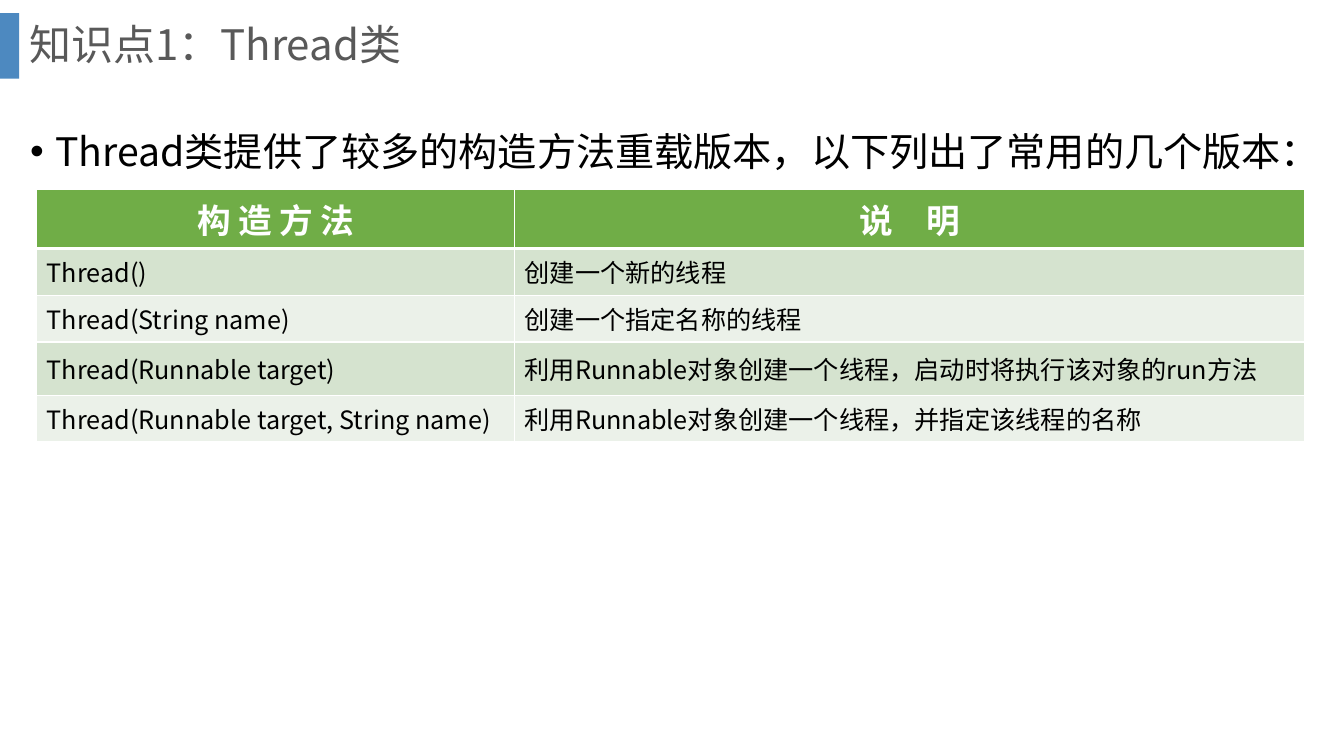
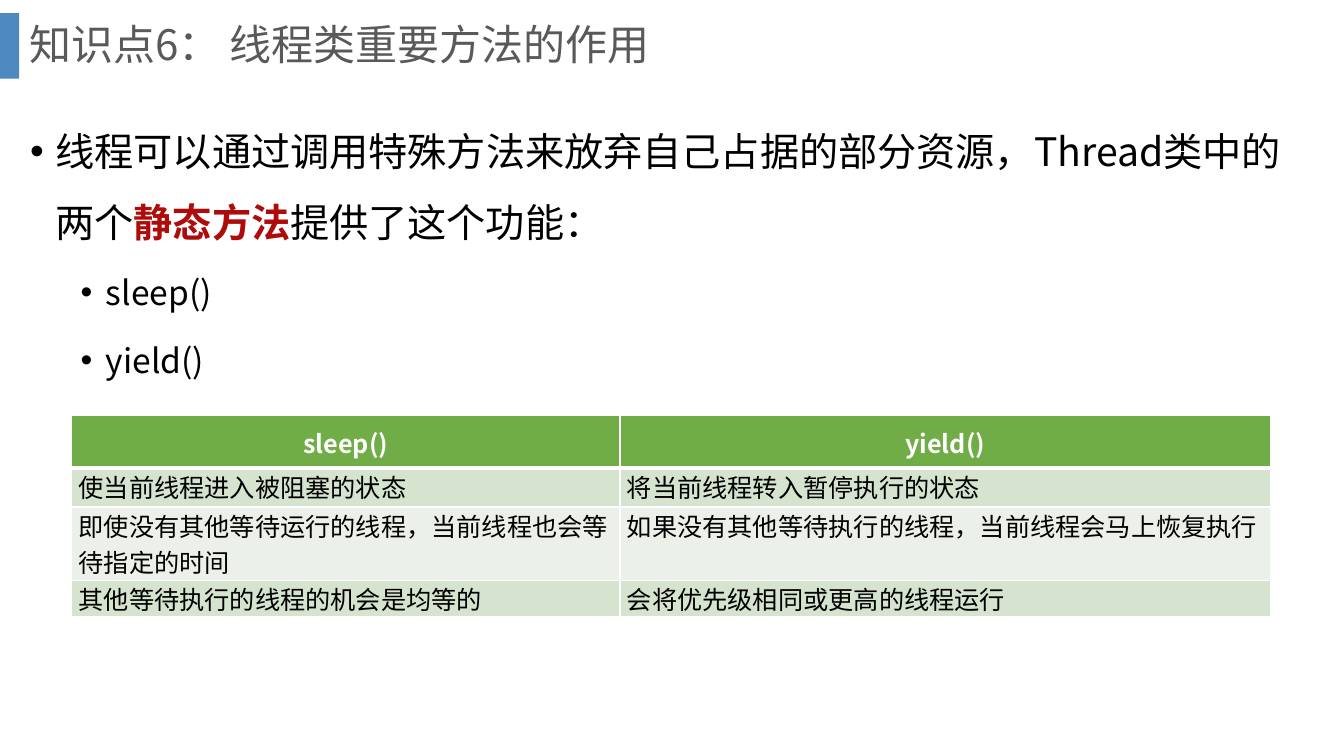
"""Build two lesson slides on the Thread class and its static methods."""
import dataclasses
import typing

import lxml.etree
import pptx
import pptx.dml.color
import pptx.enum.shapes
import pptx.enum.text
import pptx.oxml.ns
import pptx.util

WIDTH = pptx.util.Inches(13.333)
HEIGHT = pptx.util.Inches(7.5)
FONT = "Noto Sans CJK SC"
BAND_BLUE = "2E75B6"
TITLE_GREY = "595959"
BLACK = "000000"
WHITE = "FFFFFF"
ACCENT_RED = "AE0B0B"
HEADER_GREEN = "70AD47"
STRIPES = ("D5E3CF", "EBF1E9")
THIN, THICK = 1, 3
MIDDLE = pptx.enum.text.MSO_ANCHOR.MIDDLE
TOP = pptx.enum.text.MSO_ANCHOR.TOP


@dataclasses.dataclass(frozen=True)
class Area:
    """A rectangle in percent of the slide's width and height."""
    left: float
    top: float
    width: float
    height: float


@dataclasses.dataclass(frozen=True)
class Phrase:
    """A stretch of text with one look."""
    text: str
    color: str = BLACK
    bold: bool = False


@dataclasses.dataclass(frozen=True)
class Point:
    """A bulleted paragraph."""
    phrases: tuple[Phrase, ...]
    level: int = 0


@dataclasses.dataclass(frozen=True)
class Comparison:
    """A table, with columns and rows in percent of the slide."""
    left: float
    top: float
    columns: tuple[float, ...]
    rows: tuple[float, ...]
    cells: tuple[tuple[str, ...], ...]
    header_size: int
    body_anchor: typing.Any
    margins: tuple[float, float]


@dataclasses.dataclass(frozen=True)
class Lesson:
    """The content of one slide."""
    title: str
    points: tuple[Point, ...]
    comparison: Comparison


BAND = Area(0, 1.73, 1.43, 8.67)
TITLE = Area(1.43, 0, 94.95, 12.4)
BODY = Area(1.5, 13.07, 96.75, 79.47)
POINT_SIZES = (28, 24)
POINT_INDENTS = (0.25, 0.75)
POINT_GAP = 5
CELL_SIZE = 18

LESSONS = (
    Lesson(
        "知识点1：Thread类",
        (Point((Phrase("Thread类提供了较多的构造方法重载版本，以下列出了常用的几个版本："),)),),
        Comparison(
            2.74, 25.1, (35.55, 58.8), (7.6, 6.13, 6.2, 7.07, 6.13),
            (
                ("构 造 方 法", "说　明"),
                ("Thread()", "创建一个新的线程"),
                ("Thread(String name)", "创建一个指定名称的线程"),
                ("Thread(Runnable target)",
                 "利用Runnable对象创建一个线程，启动时将执行该对象的run方法"),
                ("Thread(Runnable target, String name)",
                 "利用Runnable对象创建一个线程，并指定该线程的名称"),
            ),
            24, MIDDLE, (0.1, 0.05),
        ),
    ),
    Lesson(
        "知识点6： 线程类重要方法的作用",
        (
            Point((
                Phrase("线程可以通过调用特殊方法来放弃自己占据的部分资源，Thread类中的两个"),
                Phrase("静态方法", ACCENT_RED, True),
                Phrase("提供了这个功能："),
            )),
            Point((Phrase("sleep()"),), 1),
            Point((Phrase("yield()"),), 1),
        ),
        Comparison(
            5.33, 55, (40.8, 48.38), (6.93, 5.13, 9.73, 4.8),
            (
                ("sleep()", "yield()"),
                ("使当前线程进入被阻塞的状态", "将当前线程转入暂停执行的状态"),
                ("即使没有其他等待运行的线程，当前线程也会等待指定的时间",
                 "如果没有其他等待执行的线程，当前线程会马上恢复执行"),
                ("其他等待执行的线程的机会是均等的", "会将优先级相同或更高的线程运行"),
            ),
            18, TOP, (0.07, 0),
        ),
    ),
)


def across(percent: float) -> int:
    """Turn a share of the slide's width into a length."""
    return round(WIDTH * percent / 100)


def down(percent: float) -> int:
    """Turn a share of the slide's height into a length."""
    return round(HEIGHT * percent / 100)


def rgb(code: str) -> pptx.dml.color.RGBColor:
    """Turn a hex string into a colour."""
    return pptx.dml.color.RGBColor.from_string(code)


def apply(target: typing.Any, values: dict[str, typing.Any]) -> None:
    """Set each named attribute on the target."""
    for name, value in values.items():
        setattr(target, name, value)


def bounds(area: Area) -> dict[str, int]:
    """Give the position and size of an area as format values."""
    return {"left": across(area.left), "top": down(area.top),
            "width": across(area.width), "height": down(area.height)}


def child(parent: typing.Any, tag: str, **attributes: str) -> typing.Any:
    """Append a drawing element."""
    return lxml.etree.SubElement(parent, pptx.oxml.ns.qn(tag), attributes)


def write(paragraph: typing.Any, phrase: Phrase, size: int) -> None:
    """Add a phrase to a paragraph in the deck's font."""
    run = paragraph.add_run()
    run.text = phrase.text
    apply(run.font, {"name": FONT, "size": pptx.util.Pt(size), "bold": phrase.bold})
    run.font.color.rgb = rgb(phrase.color)
    properties = run.font._element
    properties.set("lang", "zh-CN")
    child(properties, "a:ea", typeface=FONT)


def prepare_layout(layout: typing.Any) -> None:
    """Place the shared title and body areas."""
    for placeholder, area in zip(layout.placeholders, (TITLE, BODY)):
        apply(placeholder, bounds(area))


def add_band(slide: typing.Any) -> None:
    """Draw the side band and move it behind everything in the layout."""
    band = slide.shapes.add_shape(
        pptx.enum.shapes.MSO_SHAPE.RECTANGLE, *bounds(BAND).values())
    band.shadow.inherit = False
    band.fill.solid()
    band.fill.fore_color.rgb = rgb(BAND_BLUE)
    band.line.fill.background()
    tint = band.element.spPr.find(".//" + pptx.oxml.ns.qn("a:srgbClr"))
    child(tint, "a:alpha", val="85000")
    band.element.nvSpPr.cNvPr.set("id", "20")
    slide.slide_layout.shapes.element.insert(2, band.element)


def fill_title(slide: typing.Any, title: str) -> None:
    """Write the slide's title."""
    frame = slide.shapes.title.text_frame
    apply(frame, {"vertical_anchor": MIDDLE, "word_wrap": True,
                  "auto_size": pptx.enum.text.MSO_AUTO_SIZE.NONE})
    heading = frame.paragraphs[0]
    apply(heading, {"alignment": pptx.enum.text.PP_ALIGN.LEFT, "line_spacing": 0.9})
    write(heading, Phrase(title, TITLE_GREY), 30)


def fill_body(slide: typing.Any, points: tuple[Point, ...]) -> None:
    """Write the bulleted points."""
    frame = slide.placeholders[1].text_frame
    apply(frame, {"vertical_anchor": TOP, "word_wrap": True,
                  "auto_size": pptx.enum.text.MSO_AUTO_SIZE.NONE})
    for number, point in enumerate(points):
        paragraph = frame.add_paragraph() if number else frame.paragraphs[0]
        apply(paragraph, {"level": point.level, "line_spacing": 1.5,
                          "space_before": pptx.util.Pt(POINT_GAP if number else 0)})
        properties = paragraph._p.get_or_add_pPr()
        properties.set("marL", str(pptx.util.Inches(POINT_INDENTS[point.level])))
        properties.set("indent", str(-pptx.util.Inches(POINT_INDENTS[0])))
        child(properties, "a:buFont", typeface="Arial")
        child(properties, "a:buChar", char="•")
        for phrase in point.phrases:
            write(paragraph, phrase, POINT_SIZES[point.level])


def add_borders(cell: typing.Any, top: int, bottom: int) -> None:
    """Draw white lines around a cell."""
    properties = cell._tc.get_or_add_tcPr()
    sides = {"a:lnL": THIN, "a:lnR": THIN, "a:lnT": top, "a:lnB": bottom}
    for position, (tag, points) in enumerate(sides.items()):
        edge = child(properties, tag, w=str(pptx.util.Pt(points)))
        child(child(edge, "a:solidFill"), "a:srgbClr", val=WHITE)
        properties.insert(position, edge)


def add_comparison(slide: typing.Any, content: Comparison) -> None:
    """Draw a table with a green header and striped rows."""
    area = Area(content.left, content.top, sum(content.columns), sum(content.rows))
    table = slide.shapes.add_table(
        len(content.rows), len(content.columns), *bounds(area).values()).table
    table.horz_banding = False
    for column, share in zip(table.columns, content.columns):
        column.width = across(share)
    for row, share in zip(table.rows, content.rows):
        row.height = down(share)
    side, edge = map(pptx.util.Inches, content.margins)
    for row_number, texts in enumerate(content.cells):
        header = row_number == 0
        for column_number, text in enumerate(texts):
            cell = table.cell(row_number, column_number)
            apply(cell, {"margin_left": side, "margin_right": side,
                         "margin_top": edge, "margin_bottom": edge,
                         "vertical_anchor": MIDDLE if header else content.body_anchor})
            cell.fill.solid()
            cell.fill.fore_color.rgb = rgb(
                HEADER_GREEN if header else STRIPES[(row_number - 1) % 2])
            add_borders(cell, THICK if row_number == 1 else THIN,
                        THICK if header else THIN)
            paragraph = cell.text_frame.paragraphs[0]
            if header:
                paragraph.alignment = pptx.enum.text.PP_ALIGN.CENTER
            write(paragraph, Phrase(text, WHITE if header else BLACK, header),
                  content.header_size if header else CELL_SIZE)


def main() -> None:
    """Build and save the deck."""
    deck = pptx.Presentation()
    apply(deck, {"slide_width": WIDTH, "slide_height": HEIGHT})
    layout = deck.slide_layouts[1]
    prepare_layout(layout)
    for number, lesson in enumerate(LESSONS):
        slide = deck.slides.add_slide(layout)
        if number == 0:
            add_band(slide)
        fill_title(slide, lesson.title)
        fill_body(slide, lesson.points)
        add_comparison(slide, lesson.comparison)
    deck.save("out.pptx")


if __name__ == "__main__":
    main()
